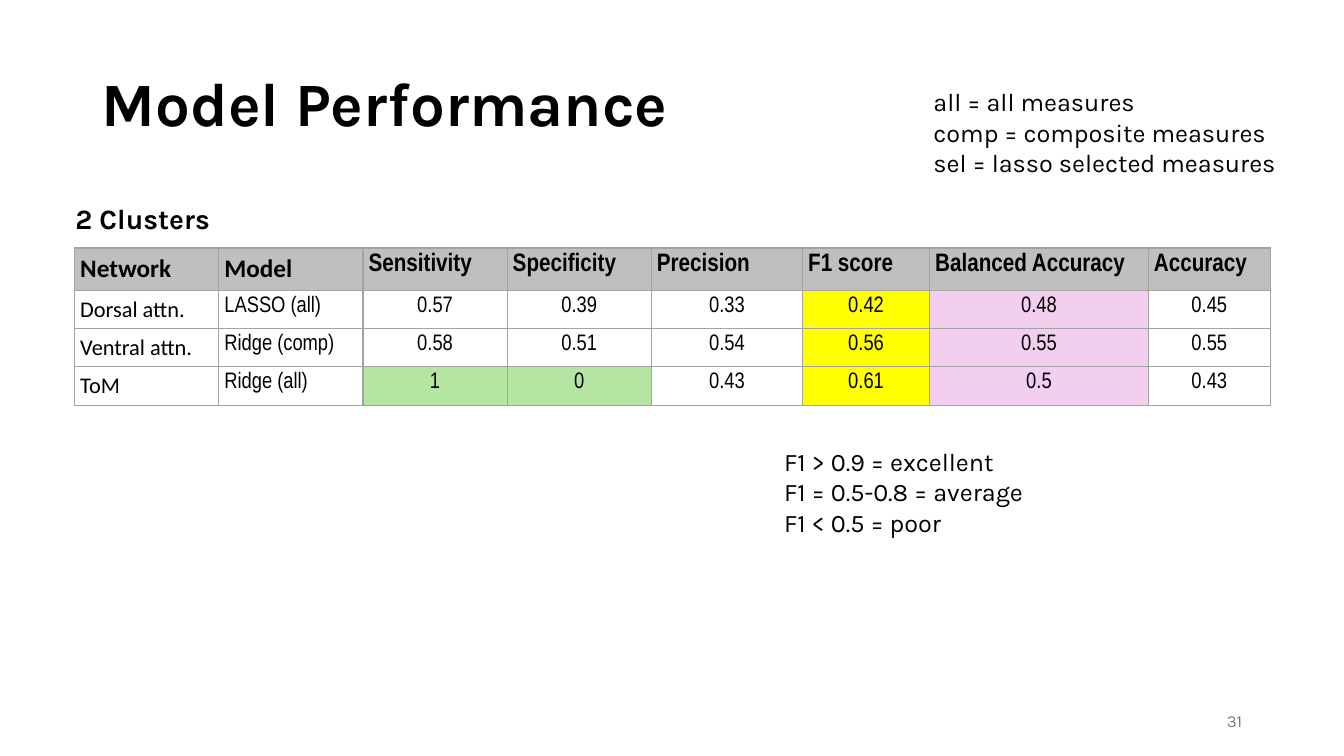
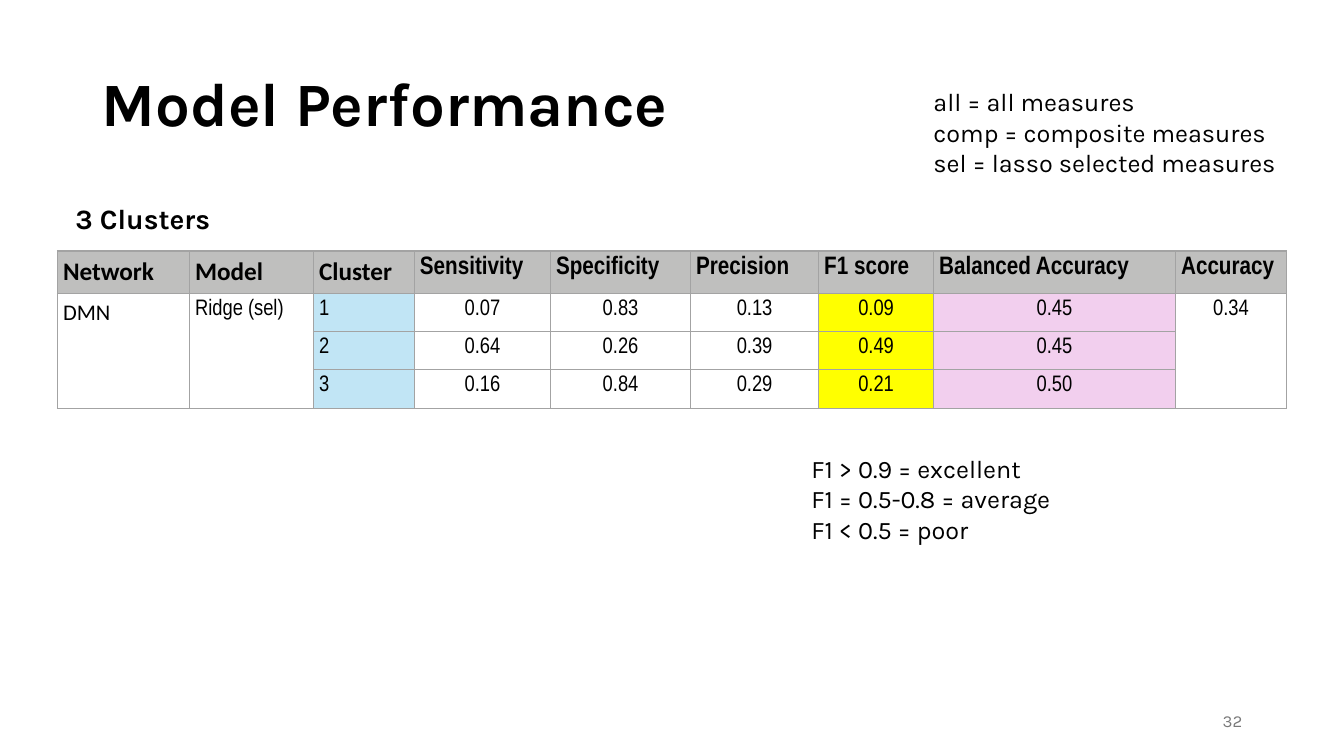
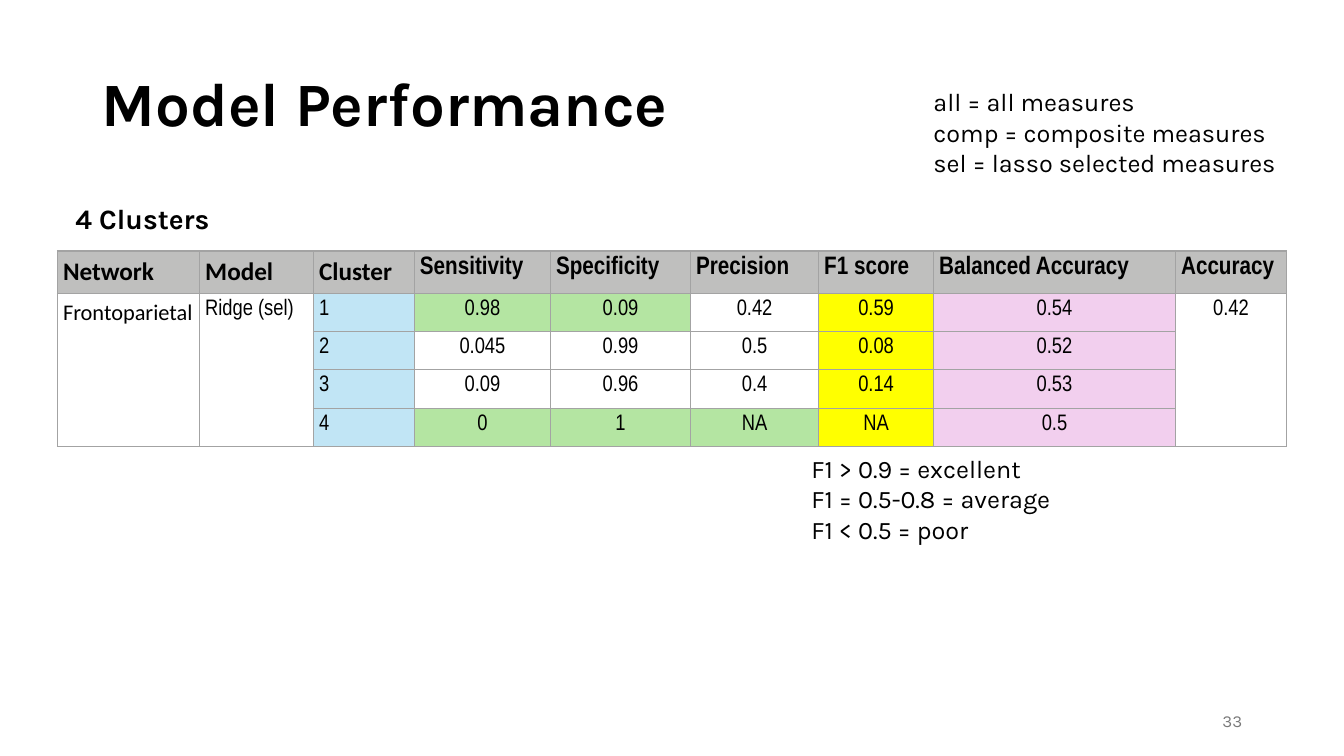
from lxml import etree
from pptx import Presentation
from pptx.dml.color import RGBColor
from pptx.enum.text import MSO_ANCHOR, PP_ALIGN
from pptx.oxml.ns import qn
from pptx.util import Inches, Pt

LEFT, CENTER, RIGHT = PP_ALIGN.LEFT, PP_ALIGN.CENTER, PP_ALIGN.RIGHT
TOP, MIDDLE = MSO_ANCHOR.TOP, MSO_ANCHOR.MIDDLE

COLORS = {
    "text": "000000",
    "page_number": "797979",
    "border": "A3A3A3",
    "header": "BFBFBE",
    "plain": "FFFFFF",
    "cluster": "C1E5F5",
    "f1": "FFFF00",
    "balanced": "F2CFEE",
    "highlight": "B4E5A2",
}
COLUMN_FILLS = {"Cluster": "cluster", "F1 score": "f1", "Balanced Accuracy": "balanced"}
LABEL_COLUMNS = ("Network", "Model", "Cluster")
SHARED_COLUMNS = ("Network", "Model", "Accuracy")

BODY_FONT, TABLE_FONT, NARROW_FONT = "Karla", "Calibri", "Arial Narrow"
HEADER_HEIGHT, ROW_HEIGHT = 0.42, 0.38
CELL_MARGIN = Pt(4)

METRICS = ["Sensitivity", "Specificity", "Precision", "F1 score", "Balanced Accuracy", "Accuracy"]
CLUSTER_HEADERS = [*LABEL_COLUMNS, *METRICS]
CLUSTER_METRIC_WIDTHS = [1, 1.35, 1.39, 1.27, 1.14, 2.4, 1.1]
MODEL_KEY = ["all = all measures", "comp = composite measures", "sel = lasso selected measures"]
F1_KEY = ["F1 > 0.9 = excellent", "F1 = 0.5-0.8 = average", "F1 < 0.5 = poor"]

# Highlights are (row, column) pairs counted in the table, header included.
SLIDES = [
    {
        "number": 31,
        "heading": "2 Clusters",
        "table_at": (0.74, 2.46),
        "f1_key_at": (7.68, 4.38),
        "headers": ["Network", "Model", *METRICS],
        "widths": [1.43, 1.43, 1.43, 1.43, 1.5, 1.26, 2.17, 1.21],
        "rows": [
            ["Dorsal attn.", "LASSO (all)", "0.57", "0.39", "0.33", "0.42", "0.48", "0.45"],
            ["Ventral attn.", "Ridge (comp)", "0.58", "0.51", "0.54", "0.56", "0.55", "0.55"],
            ["ToM", "Ridge (all)", "1", "0", "0.43", "0.61", "0.5", "0.43"],
        ],
        "highlights": {(3, 2), (3, 3)},
        "one_network": False,
    },
    {
        "number": 32,
        "heading": "3 Clusters",
        "table_at": (0.57, 2.49),
        "f1_key_at": (7.95, 4.45),
        "headers": CLUSTER_HEADERS,
        "widths": [1.31, 1.23, *CLUSTER_METRIC_WIDTHS],
        "rows": [
            ["DMN", "Ridge (sel)", "1", "0.07", "0.83", "0.13", "0.09", "0.45", "0.34"],
            ["", "", "2", "0.64", "0.26", "0.39", "0.49", "0.45", ""],
            ["", "", "3", "0.16", "0.84", "0.29", "0.21", "0.50", ""],
        ],
        "highlights": set(),
        "one_network": True,
    },
    {
        "number": 33,
        "heading": "4 Clusters",
        "table_at": (0.57, 2.49),
        "f1_key_at": (7.95, 4.45),
        "headers": CLUSTER_HEADERS,
        "widths": [1.41, 1.13, *CLUSTER_METRIC_WIDTHS],
        "rows": [
            ["Frontoparietal", "Ridge (sel)", "1", "0.98", "0.09", "0.42", "0.59", "0.54", "0.42"],
            ["", "", "2", "0.045", "0.99", "0.5", "0.08", "0.52", ""],
            ["", "", "3", "0.09", "0.96", "0.4", "0.14", "0.53", ""],
            ["", "", "4", "0", "1", "NA", "NA", "0.5", ""],
        ],
        "highlights": {(1, 3), (1, 4), (4, 3), (4, 4), (4, 5)},
        "one_network": True,
    },
]


def color(name):
    return RGBColor.from_string(COLORS[name])


def style_paragraph(paragraph, size, font=BODY_FONT, bold=False, align=LEFT, ink="text"):
    paragraph.alignment = align
    paragraph.font.name = font
    paragraph.font.size = Pt(size)
    paragraph.font.bold = bold
    paragraph.font.color.rgb = color(ink)


def add_text(slide, box, lines, size, anchor=TOP, line_spacing=None, **style):
    frame = slide.shapes.add_textbox(*map(Inches, box)).text_frame
    frame.word_wrap = True
    frame.vertical_anchor = anchor
    frame.text = "\n".join(lines)
    for paragraph in frame.paragraphs:
        if line_spacing:
            paragraph.line_spacing = line_spacing
        style_paragraph(paragraph, size, **style)


def set_borders(cell):
    """Draw all four borders; they must come before the fill in the cell properties."""
    properties = cell._tc.get_or_add_tcPr()
    for position, side in enumerate(("a:lnL", "a:lnR", "a:lnT", "a:lnB")):
        line = etree.Element(qn(side), w=str(Pt(1)))
        fill = etree.SubElement(line, qn("a:solidFill"))
        etree.SubElement(fill, qn("a:srgbClr"), val=COLORS["border"])
        properties.insert(position, line)


def fill_cell(cell, text, fill, **style):
    cell.margin_left = cell.margin_right = CELL_MARGIN
    cell.margin_top = cell.margin_bottom = CELL_MARGIN
    cell.fill.solid()
    cell.fill.fore_color.rgb = color(fill)
    set_borders(cell)
    cell.text = text
    style_paragraph(cell.text_frame.paragraphs[0], **style)


def add_results_table(slide, left, top, content):
    headers, rows, widths = content["headers"], content["rows"], content["widths"]
    height = HEADER_HEIGHT + ROW_HEIGHT * len(rows)
    table = slide.shapes.add_table(
        len(rows) + 1, len(headers),
        Inches(left), Inches(top), Inches(sum(widths)), Inches(height),
    ).table
    table.first_row = table.horz_banding = False
    for row in table.rows:
        row.height = Inches(ROW_HEIGHT)
    table.rows[0].height = Inches(HEADER_HEIGHT)

    for column, (header, width) in enumerate(zip(headers, widths)):
        table.columns[column].width = Inches(width)
        header_font = TABLE_FONT if header in LABEL_COLUMNS else NARROW_FONT
        fill_cell(table.cell(0, column), header, "header", size=18, font=header_font, bold=True)
        body_font = TABLE_FONT if header == "Network" else NARROW_FONT
        align = LEFT if header in LABEL_COLUMNS else CENTER
        for row, values in enumerate(rows, start=1):
            highlighted = (row, column) in content["highlights"]
            fill = "highlight" if highlighted else COLUMN_FILLS.get(header, "plain")
            fill_cell(table.cell(row, column), values[column], fill,
                      size=16, font=body_font, align=align)
        if content["one_network"] and header in SHARED_COLUMNS:
            table.cell(1, column).merge(table.cell(len(rows), column))


def add_performance_slide(presentation, content):
    slide = presentation.slides.add_slide(presentation.slide_layouts[6])
    add_text(slide, (0.91, 0.33, 11.5, 1.45), ["Model Performance"], 44,
             anchor=MIDDLE, line_spacing=0.9, bold=True)
    add_text(slide, (9.16, 0.81, 3.72, 1.01), MODEL_KEY, 18)
    add_text(slide, (0.65, 1.95, 3.47, 0.44), [content["heading"]], 20, bold=True)
    add_results_table(slide, *content["table_at"], content)
    add_text(slide, (*content["f1_key_at"], 3.47, 1.31), F1_KEY, 18)
    add_text(slide, (9.42, 6.95, 3, 0.4), [str(content["number"])], 12,
             anchor=MIDDLE, align=RIGHT, ink="page_number")


def main():
    presentation = Presentation()
    presentation.slide_width = Inches(13.33)
    presentation.slide_height = Inches(7.5)
    for content in SLIDES:
        add_performance_slide(presentation, content)
    presentation.save("out.pptx")


if __name__ == "__main__":
    main()
